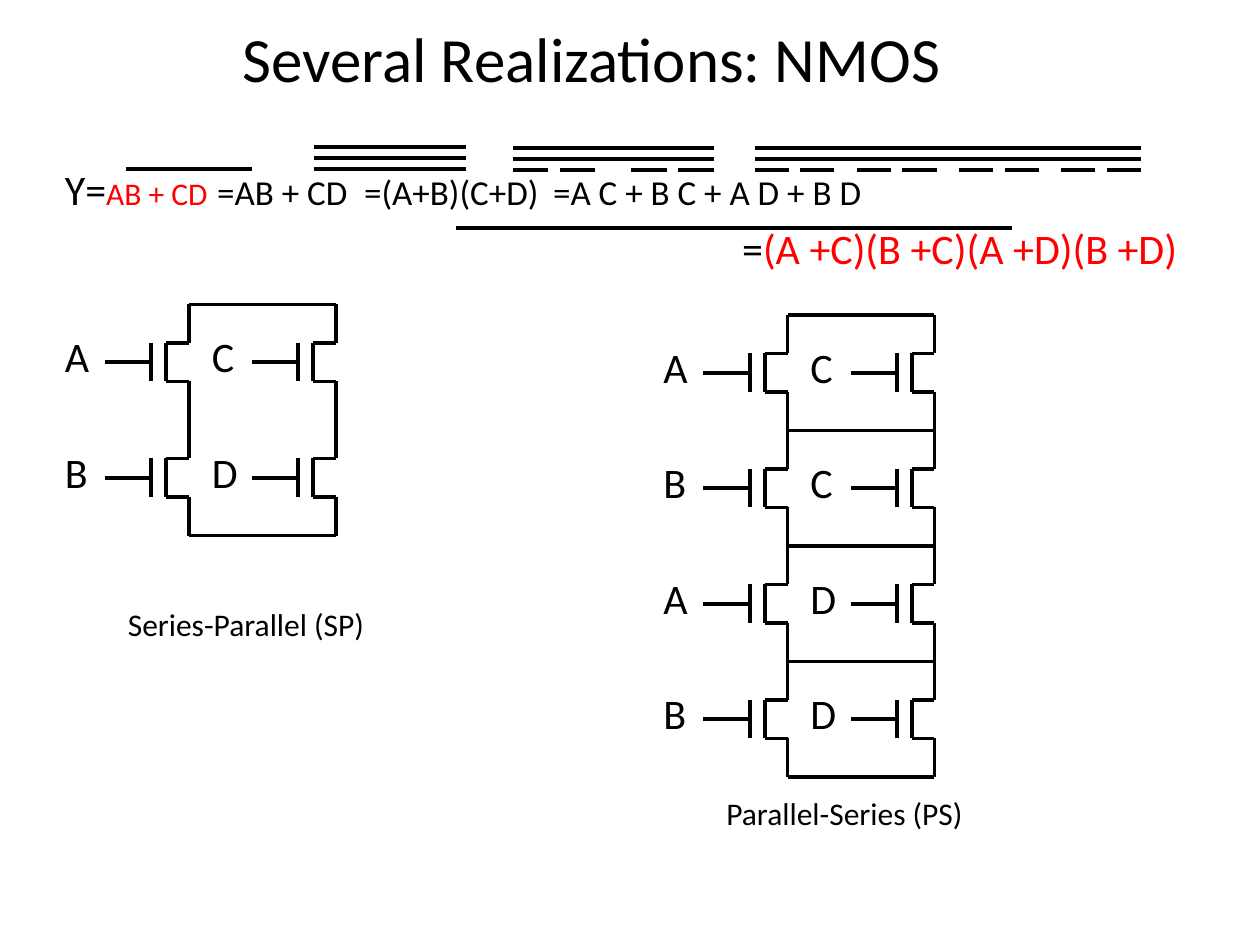
from dataclasses import dataclass

from lxml import etree
from pptx import Presentation
from pptx.dml.color import RGBColor
from pptx.enum.shapes import MSO_CONNECTOR
from pptx.enum.text import MSO_ANCHOR, MSO_AUTO_SIZE, PP_ALIGN
from pptx.oxml.ns import qn
from pptx.util import Pt

STRAIGHT = MSO_CONNECTOR.STRAIGHT
TOP, MIDDLE = MSO_ANCHOR.TOP, MSO_ANCHOR.MIDDLE
CENTER = PP_ALIGN.CENTER
NO_FIT, GROW = MSO_AUTO_SIZE.NONE, MSO_AUTO_SIZE.SHAPE_TO_FIT_TEXT


@dataclass(frozen=True)
class Theme:
    font: str = "Calibri"
    ink: RGBColor = RGBColor(0, 0, 0)
    accent: RGBColor = RGBColor(255, 0, 0)
    title: int = 36
    large: int = 24
    medium: int = 20
    small: int = 18
    line: float = 2.25


THEME = Theme()

TITLE = "Several Realizations: NMOS "
EQUATIONS = [
    {"margin": 27, "indent": -27, "before": 0, "runs": [
        ("Y=", THEME.large, THEME.ink),
        ("AB + CD", THEME.small, THEME.accent),
        (" ", THEME.large, THEME.accent),
        ("=AB + CD \t=(A+B)(C+D)\t=A C + B C + A D + B D", THEME.medium, THEME.ink),
    ]},
    {"margin": 387, "indent": 0, "before": 4.8, "runs": [
        ("=", THEME.large, THEME.ink),
        ("(A +C)(B +C)(A +D)(B +D)", THEME.large, THEME.accent),
    ]},
]
OVERLINES = [
    (72, 144, [96.5]),
    (179.5, 266.5, [84, 90.2, 96.5]),
    (293, 408, [84.7, 90.7]),
    (431.3, 652.3, [84.7, 91]),
    (260.6, 578.2, [130.3]),
]
DASHES = [
    {"left": 293, "y": 96.9, "width": 20.2, "inner": 27, "pitch": 67.7, "pairs": 2},
    {"left": 431.3, "y": 97.2, "width": 19.5, "inner": 26, "pitch": 58.4, "pairs": 4},
]
CIRCUITS = [
    {"left": 108, "top": 174, "gates": [("A", "C"), ("B", "D")],
     "rails": [0, 2], "caption": "Series-Parallel (SP)", "caption_gap": 36},
    {"left": 450, "top": 180, "gates": [("A", "C"), ("B", "C"), ("A", "D"), ("B", "D")],
     "rails": [0, 1, 2, 3, 4], "caption": "Parallel-Series (PS)", "caption_gap": 6},
]
COLUMN_PITCH, STUB = 84, 22
ROW_PITCH = 3 * STUB
LEAD, GATE, CHANNEL = -48, -21.6, -13
TRANSISTOR = [
    (GATE, STUB, GATE, 2 * STUB),
    (CHANNEL, STUB, CHANNEL, 2 * STUB),
    (CHANNEL, STUB, 0, STUB),
    (0, 2 * STUB, 0, ROW_PITCH),
    (CHANNEL, 2 * STUB, 0, 2 * STUB),
    (0, 0, 0, STUB),
    (LEAD, ROW_PITCH / 2, GATE, ROW_PITCH / 2),
]


def add_line(shapes, x1, y1, x2, y2):
    line = shapes.add_connector(STRAIGHT, Pt(x1), Pt(y1), Pt(x2), Pt(y2))
    line.line.color.rgb = THEME.ink
    line.line.width = Pt(THEME.line)
    etree.SubElement(line._element.spPr, qn("a:effectLst"))


def add_run(paragraph, text, size, color):
    run = paragraph.add_run()
    run.text = text
    run.font.name = THEME.font
    run.font.size = Pt(size)
    run.font.color.rgb = color


def add_box(slide, left, top, width, height, fit):
    box = slide.shapes.add_textbox(Pt(left), Pt(top), Pt(width), Pt(height))
    frame = box.text_frame
    frame.word_wrap = True
    frame.auto_size = fit
    frame.vertical_anchor = TOP
    return frame


def add_label(slide, text, left, top, width, height, size):
    frame = add_box(slide, left, top, width, height, GROW)
    add_run(frame.paragraphs[0], text, size, THEME.ink)


def add_title(slide):
    title = slide.shapes.title
    title.left, title.top, title.width, title.height = Pt(36), Pt(0), Pt(612), Pt(66)
    title.text_frame.vertical_anchor = MIDDLE
    title.text_frame.auto_size = NO_FIT
    paragraph = title.text_frame.paragraphs[0]
    paragraph.alignment = CENTER
    add_run(paragraph, TITLE, THEME.title, THEME.ink)


def add_equations(slide):
    frame = add_box(slide, 30, 90, 720, 54, NO_FIT)
    for index, equation in enumerate(EQUATIONS):
        paragraph = frame.add_paragraph() if index else frame.paragraphs[0]
        properties = paragraph._p.get_or_add_pPr()
        properties.set("marL", str(Pt(equation["margin"])))
        properties.set("indent", str(Pt(equation["indent"])))
        paragraph.space_before = Pt(equation["before"])
        for text, size, color in equation["runs"]:
            add_run(paragraph, text, size, color)
    for left, right, heights in OVERLINES:
        for y in heights:
            add_line(slide.shapes, left, y, right, y)
    for dash in DASHES:
        for pair in range(dash["pairs"]):
            for step in (0, dash["inner"]):
                x = dash["left"] + pair * dash["pitch"] + step
                add_line(slide.shapes, x, dash["y"], x + dash["width"], dash["y"])


def add_circuit(slide, circuit):
    left, top = circuit["left"], circuit["top"]
    for row, names in enumerate(circuit["gates"]):
        for column, name in enumerate(names):
            x, y = left + column * COLUMN_PITCH, top + row * ROW_PITCH
            transistor = slide.shapes.add_group_shape()
            for x1, y1, x2, y2 in TRANSISTOR:
                add_line(transistor.shapes, x + x1, y + y1, x + x2, y + y2)
            add_label(slide, name, x - 78, y + 11.6, 48, 36, THEME.large)
    for rail in circuit["rails"]:
        y = top + rail * ROW_PITCH
        add_line(slide.shapes, left, y, left + COLUMN_PITCH, y)
    bottom = top + len(circuit["gates"]) * ROW_PITCH
    add_label(slide, circuit["caption"], left - 42, bottom + circuit["caption_gap"],
              186, 29, THEME.small)


def main():
    presentation = Presentation()
    presentation.slide_width, presentation.slide_height = Pt(720), Pt(540)
    slide = presentation.slides.add_slide(presentation.slide_layouts[5])
    add_title(slide)
    add_equations(slide)
    for circuit in CIRCUITS:
        add_circuit(slide, circuit)
    presentation.save("out.pptx")


if __name__ == "__main__":
    main()
